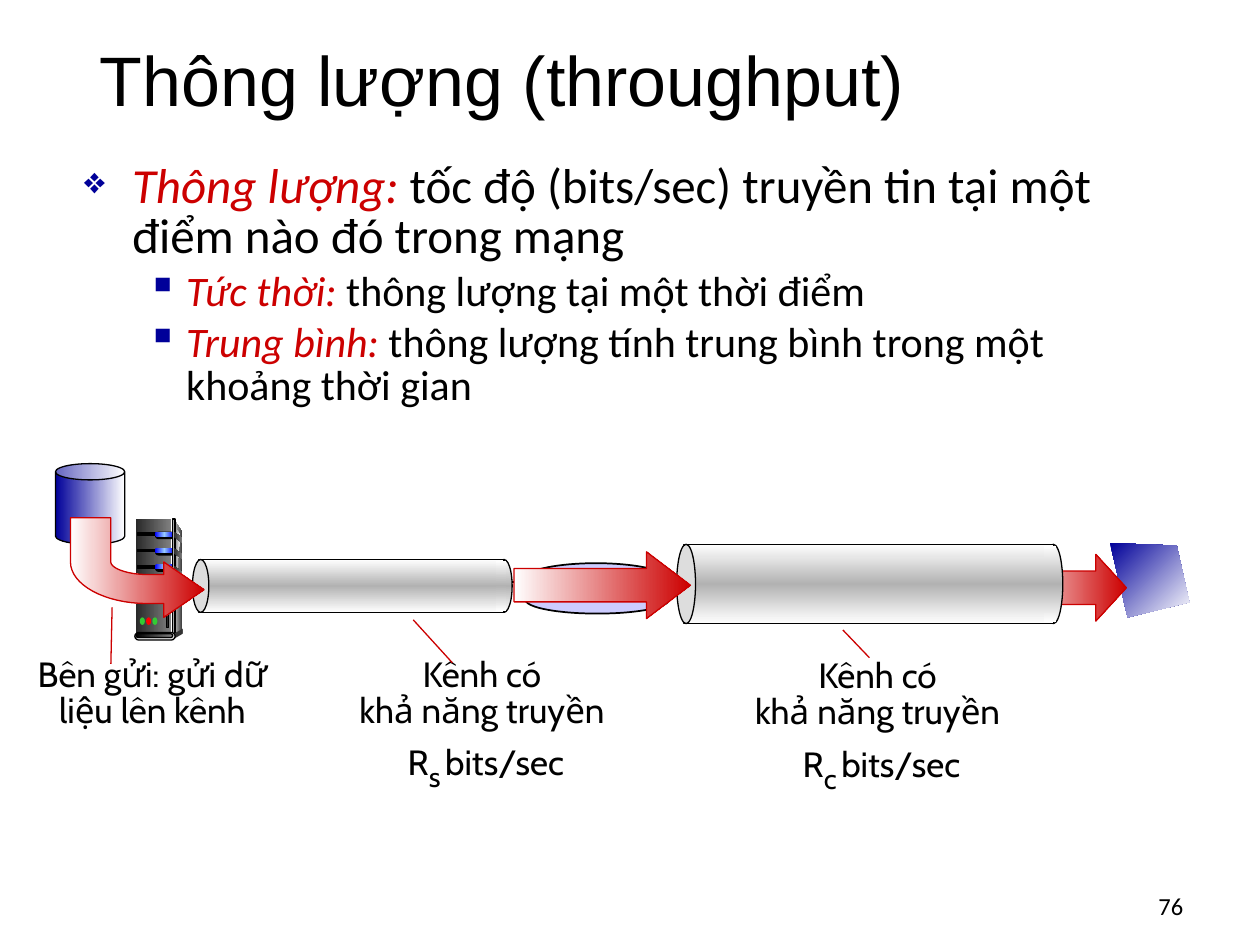
from copy import deepcopy

from lxml import etree
from pptx import Presentation
from pptx.dml.color import RGBColor
from pptx.enum import shapes, text
from pptx.oxml import ns
from pptx.util import Inches, Pt

BLACK = RGBColor(0x00, 0x00, 0x00)
WHITE = RGBColor(0xFF, 0xFF, 0xFF)
NAVY = RGBColor(0x00, 0x00, 0x99)
RED = RGBColor(0xCC, 0x00, 0x00)
LILAC = RGBColor(0xCC, 0xCC, 0xFF)
SILVER = RGBColor(0xDD, 0xDD, 0xDD)
STEEL = RGBColor(0xB2, 0xB2, 0xB2)
GRAY = RGBColor(0x80, 0x80, 0x80)
CHARCOAL = RGBColor(0x33, 0x33, 0x33)
DARK = RGBColor(0x29, 0x29, 0x29)
PALE = RGBColor(0xF8, 0xF8, 0xF8)
BLUE = RGBColor(0x00, 0x00, 0xFF)
SKY = RGBColor(0x99, 0xCC, 0xFF)
GREEN = RGBColor(0x33, 0xCC, 0x33)
SIGNAL_RED = RGBColor(0xFF, 0x00, 0x00)

FLOW = (WHITE, RED)
TUBE = (WHITE, STEEL, WHITE)
SLATE = (DARK, GRAY)
GLOW = (BLUE, SKY, BLUE)
MSO = shapes.MSO_SHAPE


def bezier(p0, p1, p2, p3, steps=16):
    points = []
    for i in range(1, steps + 1):
        t = i / steps
        weights = ((1 - t) ** 3, 3 * t * (1 - t) ** 2, 3 * t * t * (1 - t), t ** 3)
        points.append(tuple(sum(w * p[axis] for w, p in zip(weights, (p0, p1, p2, p3)))
                            for axis in (0, 1)))
    return points


class Diagram:
    heading_font = "Arial"
    body_font = "Calibri"
    label_font = "Cabin"

    def __init__(self, slide):
        self.slide = slide
        self.canvas = slide.shapes

    def begin_group(self):
        self.canvas = self.slide.shapes.add_group_shape().shapes

    def end_group(self):
        self.canvas = self.slide.shapes

    def paint(self, shape, fill, line, width, angle):
        shape.shadow.inherit = False
        if isinstance(fill, RGBColor):
            shape.fill.solid()
            shape.fill.fore_color.rgb = fill
        else:
            shape.fill.gradient()
            shape.fill.gradient_angle = (360 - angle) % 360
            stops = shape._element.spPr.find(".//" + ns.qn("a:gsLst"))
            for _ in fill[2:]:
                stops.append(deepcopy(stops[0]))
            for i, (stop, color) in enumerate(zip(shape.fill.gradient_stops, fill)):
                stop.position = i / (len(fill) - 1)
                stop.color.rgb = color
        if line is None:
            shape.line.fill.background()
        else:
            shape.line.color.rgb = line
            shape.line.width = Pt(width)

    def shape(self, preset, box, fill, line=None, width=0.75, angle=0, adjust=()):
        shape = self.canvas.add_shape(preset, *map(Inches, box))
        for i, value in enumerate(adjust):
            shape.adjustments[i] = value
        self.paint(shape, fill, line, width, angle)

    def outline(self, points, fill, line=None, angle=0):
        emu = [(Inches(x), Inches(y)) for x, y in points]
        builder = self.canvas.build_freeform(*emu[0])
        builder.add_line_segments(emu[1:], close=True)
        self.paint(builder.convert_to_shape(), fill, line, 0.75, angle)

    def line(self, start, end, color=BLACK, width=0.75):
        line = self.canvas.add_connector(shapes.MSO_CONNECTOR.STRAIGHT,
                                         *map(Inches, (*start, *end)))
        line.line.color.rgb = color
        line.line.width = Pt(width)
        etree.SubElement(line._element.spPr, ns.qn("a:effectLst"))

    def title(self, wording, box):
        title = self.slide.shapes.title
        title.left, title.top, title.width, title.height = map(Inches, box)
        title.text_frame.text = wording
        title.text_frame.vertical_anchor = text.MSO_ANCHOR.MIDDLE
        self.style(title.text_frame.paragraphs[0], self.heading_font, 40,
                   text.PP_ALIGN.LEFT, 0.9)

    def style(self, paragraph, font, size, align, spacing):
        paragraph.alignment = align
        paragraph.line_spacing = spacing
        paragraph.font.name = font
        paragraph.font.size = Pt(size)
        paragraph.font.color.rgb = BLACK

    def frame(self, box, wrap=True):
        frame = self.canvas.add_textbox(*map(Inches, box)).text_frame
        frame.word_wrap = wrap
        return frame

    def bullets(self, box, items):
        frame = self.frame(box)
        looks = [(28, 0.38, 0.38, "❖", 75), (24, 0.81, 0.31, "▪", 100)]
        for i, (level, term, meaning) in enumerate(items):
            size, margin, hang, mark, mark_size = looks[level]
            paragraph = frame.add_paragraph() if i else frame.paragraphs[0]
            paragraph.level = level
            props = paragraph._p.get_or_add_pPr()
            props.set("marL", str(Inches(margin)))
            props.set("indent", str(-Inches(hang)))
            color = etree.SubElement(props, ns.qn("a:buClr"))
            etree.SubElement(color, ns.qn("a:srgbClr"), val=str(NAVY))
            etree.SubElement(props, ns.qn("a:buSzPct"), val=str(mark_size * 1000))
            etree.SubElement(props, ns.qn("a:buChar"), char=mark)
            if i:
                paragraph.space_before = Pt(size * 0.2)
            self.style(paragraph, self.body_font, size, text.PP_ALIGN.LEFT, 0.85)
            lead = paragraph.add_run()
            lead.text = term
            lead.font.italic = True
            lead.font.color.rgb = RED
            paragraph.add_run().text = " " + meaning

    def label(self, box, lines, rate=None):
        frame = self.frame(box, wrap=rate is None)
        frame.auto_size = text.MSO_AUTO_SIZE.SHAPE_TO_FIT_TEXT
        frame.text = "\n".join(lines)
        if rate:
            paragraph = frame.add_paragraph()
            for wording, size, lowered in ((" R", 20, False), (rate, 28, True),
                                           (" ", 20, True), ("bits/sec", 20, False)):
                run = paragraph.add_run()
                run.text = wording
                run.font.size = Pt(size)
                if lowered:
                    run._r.get_or_add_rPr().set("baseline", "-25000")
        for paragraph in frame.paragraphs:
            self.style(paragraph, self.label_font, 20, text.PP_ALIGN.CENTER, 0.85)

    def page_number(self, number, box):
        frame = self.frame(box)
        frame.text = number
        frame.vertical_anchor = text.MSO_ANCHOR.MIDDLE
        self.style(frame.paragraphs[0], self.body_font, 14, text.PP_ALIGN.RIGHT, 1.0)

    def server(self):
        self.begin_group()
        self.outline([(1.38, 4.12), (1.45, 4.23), (1.45, 5), (1.37, 5.04)], (SILVER, CHARCOAL))
        self.shape(MSO.RECTANGLE, (1.08, 4.12, 0.28, 0.91), SLATE)
        edge = bezier((1.43, 4.25), (1.39, 4.59), (1.39, 5.02), (1.39, 5.01))
        self.outline([(1.39, 4.18), (1.43, 4.25), *edge], (GRAY, PALE))
        for top in (4.22, 4.35, 4.48, 4.6):
            self.shape(MSO.RECTANGLE, (1.09, top + 0.01, 0.16, 0.02), BLACK, BLACK)
            self.shape(MSO.ROUNDED_RECTANGLE, (1.23, top, 0.16, 0.06), BLACK, adjust=[0.5])
            self.shape(MSO.ROUNDED_RECTANGLE, (1.23, top, 0.15, 0.04), GLOW, adjust=[0.5])
        self.shape(MSO.RECTANGLE, (1.37, 4.12, 0.02, 0.91), (CHARCOAL, SILVER, CHARCOAL), BLACK)
        for top in (4.22, 4.35, 4.49, 4.6):
            self.outline([(1.38, top), (1.45, top + 0.05), (1.45, top + 0.09),
                          (1.38, top + 0.04)], SLATE)
        self.shape(MSO.OVAL, (1.44, 4.99, 0.01, 0.04), CHARCOAL)
        self.outline([(1.38, 5.03), (1.38, 5.07), (1.45, 5.03), (1.45, 4.99)], CHARCOAL)
        self.shape(MSO.ROUNDED_RECTANGLE, (1.07, 5.02, 0.32, 0.06), SILVER, BLACK, adjust=[0.5])
        self.shape(MSO.ROUNDED_RECTANGLE, (1.08, 5.03, 0.29, 0.03), (BLACK, GRAY), BLACK,
                   adjust=[0.5])
        for i, color in enumerate((GREEN, SIGNAL_RED, GREEN)):
            self.shape(MSO.OVAL, (1.11 + 0.05 * i, 4.9, 0.04, 0.06), color)
        self.shape(MSO.RECTANGLE, (1.32, 4.68, 0.02, 0.3), DARK, BLACK)
        self.end_group()

    def router(self):
        self.begin_group()
        self.shape(MSO.OVAL, (4.17, 4.65, 1.14, 0.22), LILAC, BLACK, 1)
        for x in (4.17, 5.32):
            self.line((x, 4.63), (x, 4.76), width=1)
        self.shape(MSO.RECTANGLE, (4.17, 4.63, 1.14, 0.13), LILAC)
        self.shape(MSO.OVAL, (4.16, 4.47, 1.14, 0.25), LILAC, BLACK, 1)
        for near, far in ((4.53, 4.68), (4.68, 4.53)):
            route = [(4.44, near), (4.64, near), (4.83, far), (5.01, far)]
            for start, end in zip(route, route[1:]):
                self.line(start, end, width=2.25)
        self.end_group()

    def pipe(self, left, top, length, height, cap):
        self.begin_group()
        right = left + length
        self.shape(MSO.OVAL, (right - cap / 2, top, cap, height), TUBE, BLACK, angle=90)
        self.shape(MSO.RECTANGLE, (left, top, length, height), TUBE, BLACK, angle=90)
        self.shape(MSO.OVAL, (left - cap * 0.4, top, cap, height), SILVER, BLACK)
        self.shape(MSO.RECTANGLE, (right - cap * 0.5, top + 0.01, cap * 0.65, height - 0.02),
                   TUBE, angle=90)
        self.end_group()

    def flow_arrow(self, box, head):
        self.shape(MSO.RIGHT_ARROW, box, FLOW, RED, adjust=[0.5, head])

    def bent_arrow(self):
        outer = bezier((1.17, 4.79), (0.83, 4.79), (0.56, 4.64), (0.56, 4.46))
        inner = bezier((0.88, 4.46), (0.88, 4.51), (1.01, 4.56), (1.17, 4.56))
        self.outline([(1.62, 4.68), (1.3, 4.9), (1.3, 4.79), (1.17, 4.79), *outer,
                      (0.56, 4.11), (0.88, 4.11), (0.88, 4.46), *inner,
                      (1.3, 4.56), (1.3, 4.46)], FLOW, RED)


def main():
    deck = Presentation()
    deck.slide_width, deck.slide_height = Inches(10), Inches(7.5)
    page = Diagram(deck.slides.add_slide(deck.slide_layouts[5]))
    page.title("Thông lượng (throughput)", (0.69, 0.26, 8.62, 0.81))
    page.page_number("76", (8.86, 6.99, 0.63, 0.4))
    page.shape(MSO.CAN, (0.44, 3.68, 0.55, 0.64), (NAVY, WHITE), BLACK, adjust=[0.235])
    page.server()
    page.outline([(8.81, 4.31), (9.34, 4.33), (9.44, 4.78), (8.95, 4.9)], (NAVY, WHITE), angle=45)
    page.bullets((0.57, 1.25, 8.5, 1.95), [
        (0, "Thông lượng:", "tốc độ (bits/sec) truyền tin tại một điểm nào đó trong mạng"),
        (1, "Tức thời:", "thông lượng tại một thời điểm"),
        (1, "Trung bình:", "thông lượng tính trung bình trong một khoảng thời gian"),
    ])
    page.label((0.17, 5.18, 2.08, 0.96), ["Bên gửi: gửi dữ liệu lên kênh"])
    for left, top, rate in ((2.72, 5.18, "s"), (5.86, 5.19, "c")):
        page.label((left, top, 2.21, 0.96), ["Kênh có", "khả năng truyền"], rate)
    for start, end in (((3.59, 5.26), (3.28, 4.92)), ((6.9, 5.22), (6.69, 5)),
                       ((0.89, 4.82), (0.88, 5.27))):
        page.line(start, end, RED)
    page.line((1.58, 4.62), (8.48, 4.62))
    page.router()
    page.flow_arrow((7.97, 4.4, 0.97, 0.53), 0.458)
    page.pipe(1.58, 4.44, 2.42, 0.42, 0.13)
    page.pipe(5.43, 4.32, 2.93, 0.63, 0.15)
    page.flow_arrow((4.08, 4.38, 1.4, 0.53), 0.658)
    page.bent_arrow()
    deck.save("out.pptx")


if __name__ == "__main__":
    main()
